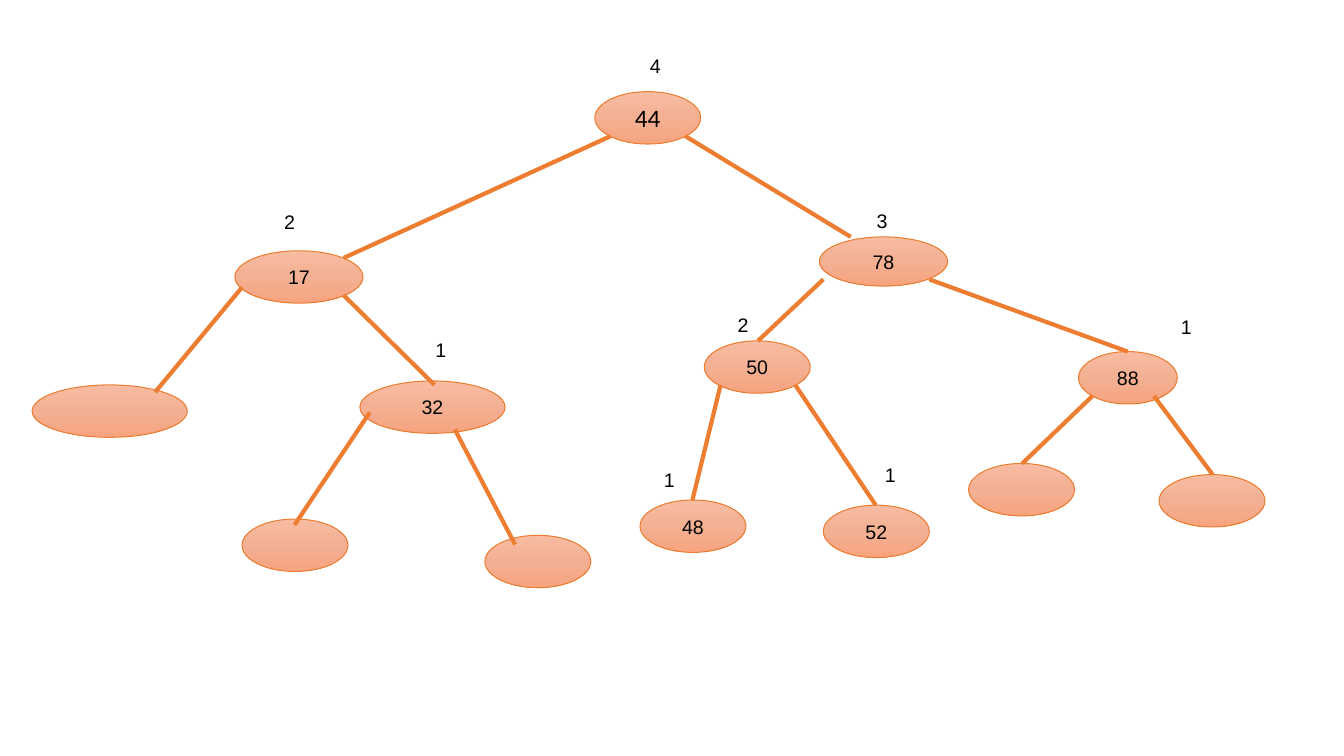
"""Build a slide with a binary search tree whose inner nodes carry their heights."""
from copy import deepcopy
from dataclasses import dataclass
from typing import Optional

from lxml.etree import SubElement
from pptx import Presentation
from pptx.dml.color import RGBColor
from pptx.enum.shapes import MSO_CONNECTOR, MSO_SHAPE
from pptx.enum.text import MSO_ANCHOR, MSO_AUTO_SIZE, PP_ALIGN
from pptx.oxml.ns import qn
from pptx.slide import Slide
from pptx.text.text import TextFrame
from pptx.util import Cm, Pt

COLORS = {
    "top": "F7BCA2",
    "middle": "F4B093",
    "bottom": "F7A47F",
    "branch": "ED7D31",
    "text": "000000",
}
Point = tuple[float, float]


@dataclass(frozen=True)
class Branch:
    start: Point
    end: Point


@dataclass(frozen=True)
class Height:
    value: str
    corner: Point
    width: float = 3.15


@dataclass(frozen=True)
class Node:
    corner: Point
    branch: Optional[Branch] = None
    key: str = ""
    height: Optional[Height] = None
    size: Point = (2.67, 1.32)
    font: str = "Arial"
    points: int = 14


TREE = [
    Node((14.99, 2.31), None, "44", Height("4", (16.13, 1.24), 1.9),
         font="Calibri", points=18),
    Node((5.92, 6.32), Branch((15.39, 3.43), (8.66, 6.5)), "17",
         Height("2", (6.91, 5.16)), (3.23, 1.32)),
    Node((20.65, 5.97), Branch((17.27, 3.43), (21.44, 5.97)), "78",
         Height("3", (21.84, 5.13)), (3.23, 1.24)),
    Node((0.81, 9.7), Branch((6.1, 7.24), (3.91, 9.88)), size=(3.91, 1.32)),
    Node((9.07, 9.6), Branch((8.66, 7.44), (10.95, 9.7)), "32",
         Height("1", (10.72, 8.38)), (3.66, 1.32)),
    Node((17.75, 8.59), Branch((20.75, 7.04), (19.1, 8.59)), "50",
         Height("2", (18.34, 7.77))),
    Node((27.18, 8.86), Branch((23.42, 7.04), (28.42, 8.86)), "88",
         Height("1", (29.51, 7.8)), (2.49, 1.32)),
    Node((6.1, 13.08), Branch((9.32, 10.39), (7.42, 13.23))),
    Node((12.22, 13.49), Branch((11.46, 10.82), (12.98, 13.72))),
    Node((16.13, 12.6), Branch((18.16, 9.7), (17.45, 12.6)), "48",
         Height("1", (16.48, 11.66))),
    Node((20.75, 12.73), Branch((20.04, 9.7), (22.07, 12.73)), "52",
         Height("1", (22.05, 11.53))),
    Node((24.41, 11.68), Branch((27.53, 9.98), (25.76, 11.68))),
    Node((29.21, 11.96), Branch((29.08, 9.98), (30.56, 11.96))),
]


def rgb(name: str) -> RGBColor:
    return RGBColor.from_string(COLORS[name])


def write(frame: TextFrame, text: str, font: str, points: int) -> None:
    frame.text = text
    for run in frame.paragraphs[0].runs:
        run.font.name = font
        run.font.size = Pt(points)
        run.font.color.rgb = rgb("text")


def draw_node(slide: Slide, node: Node) -> None:
    oval = slide.shapes.add_shape(
        MSO_SHAPE.OVAL, *map(Cm, node.corner), *map(Cm, node.size))
    oval.shadow.inherit = False
    oval.line.color.rgb = rgb("branch")
    oval.line.width = Pt(0.75)
    oval.fill.gradient()
    oval.fill.gradient_angle = 270
    stops = oval.element.spPr.find(qn("a:gradFill")).find(qn("a:gsLst"))
    stops.insert(1, deepcopy(stops[0]))
    shades = ("top", "middle", "bottom")
    for index, (stop, shade) in enumerate(zip(oval.fill.gradient_stops, shades)):
        stop.position = index / 2
        stop.color.rgb = rgb(shade)
    if node.key:
        frame = oval.text_frame
        frame.margin_left = frame.margin_right = 0
        frame.margin_top = frame.margin_bottom = 0
        frame.vertical_anchor = MSO_ANCHOR.MIDDLE
        write(frame, node.key, node.font, node.points)
        frame.paragraphs[0].alignment = PP_ALIGN.CENTER


def draw_branch(slide: Slide, branch: Branch) -> None:
    line = slide.shapes.add_connector(
        MSO_CONNECTOR.STRAIGHT, *map(Cm, branch.start), *map(Cm, branch.end))
    line.line.color.rgb = rgb("branch")
    line.line.width = Pt(3)
    SubElement(line.element.spPr, qn("a:effectLst"))


def draw_height(slide: Slide, height: Height) -> None:
    label = slide.shapes.add_textbox(
        *map(Cm, height.corner), Cm(height.width), Cm(0.86))
    label.text_frame.word_wrap = True
    label.text_frame.auto_size = MSO_AUTO_SIZE.SHAPE_TO_FIT_TEXT
    write(label.text_frame, height.value, "Arial", 14)


def main() -> None:
    deck = Presentation()
    deck.slide_width, deck.slide_height = Cm(33.87), Cm(19.05)
    slide = deck.slides.add_slide(deck.slide_layouts[6])
    for node in TREE:
        draw_node(slide, node)
    for node in TREE:
        if node.branch:
            draw_branch(slide, node.branch)
        if node.height:
            draw_height(slide, node.height)
    deck.save("out.pptx")


main()
